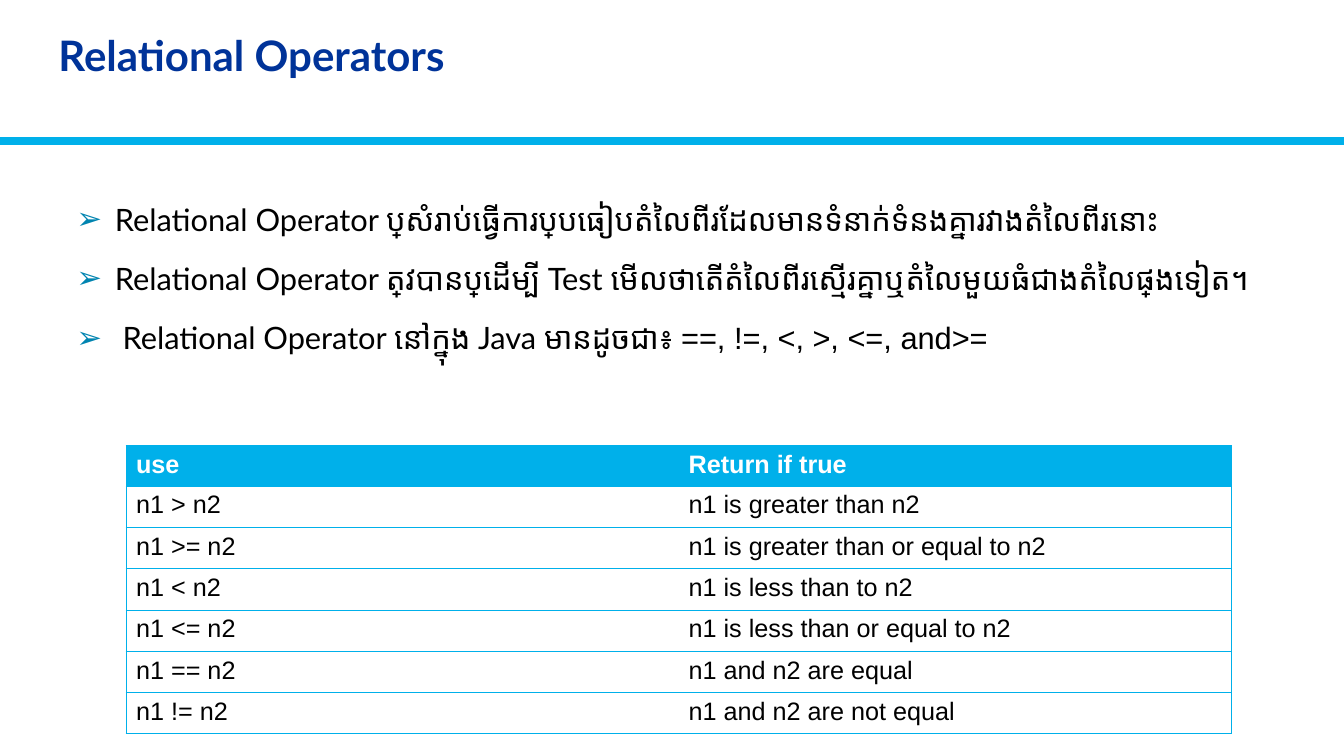
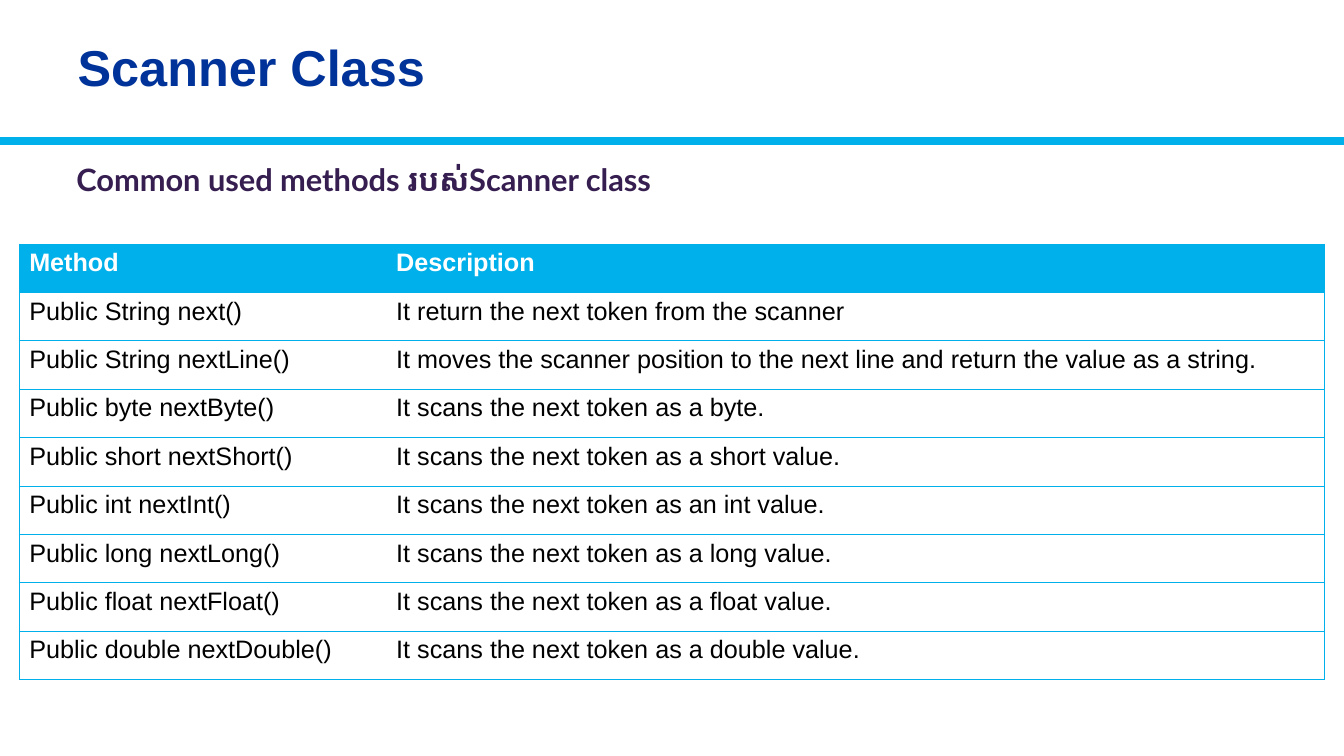
from lxml.etree import SubElement
from pptx import Presentation
from pptx.dml.color import RGBColor
from pptx.enum.shapes import MSO_CONNECTOR as Connector
from pptx.enum.text import MSO_ANCHOR as Anchor, MSO_AUTO_SIZE as AutoSize, PP_ALIGN as Align
from pptx.oxml.ns import qn
from pptx.util import Inches, Pt

COLORS = {
    "accent": "00B0EA",
    "title": "003399",
    "bullet": "0084B0",
    "heading": "361E51",
    "text": "000000",
    "white": "FFFFFF",
}


class Lesson:
    """Holds the lesson style and the slide being built."""

    width, height, band_top = 13.33, 7.5, 1.4

    def __init__(self):
        self.deck = Presentation()
        self.deck.slide_width = Inches(self.width)
        self.deck.slide_height = Inches(self.height)
        self.page = None

    def color(self, name):
        return RGBColor.from_string(COLORS[name])

    def add_page(self, title, area, font, size):
        self.page = self.deck.slides.add_slide(self.deck.slide_layouts[5])
        self.add_band()
        box = self.page.shapes.title
        box.left, box.top, box.width, box.height = map(Inches, area)
        frame = box.text_frame
        frame.auto_size = AutoSize.NONE
        frame.vertical_anchor = Anchor.MIDDLE
        para = frame.paragraphs[0]
        para.alignment = Align.LEFT
        para.line_spacing = 0.9
        self.add_span(para, title, size, "title", font, True)

    def add_band(self):
        top = Inches(self.band_top)
        band = self.page.shapes.add_connector(
            Connector.STRAIGHT, 0, top, Inches(self.width), top)
        band.line.color.rgb = self.color("accent")
        band.line.width = Pt(6)
        SubElement(band._element.spPr, qn("a:effectLst"))

    def add_span(self, para, text, size, color, font, bold=False):
        span = para.add_run()
        span.text = text
        span.font.name = font
        span.font.size = Pt(size)
        span.font.bold = bold
        span.font.color.rgb = self.color(color)

    def add_text(self, area, lines, color="text", bold=False, space=16, bullet=None):
        frame = self.page.shapes.add_textbox(*map(Inches, area)).text_frame
        frame.word_wrap = True
        for index, spans in enumerate(lines):
            para = frame.add_paragraph() if index else frame.paragraphs[0]
            para.space_before = Pt(space)
            if bullet:
                self.add_bullet(para, bullet)
            for text, font in spans:
                self.add_span(para, text, 22, color, font, bold)

    def add_bullet(self, para, mark):
        props = para._p.get_or_add_pPr()
        props.set("marL", str(Inches(0.38)))
        props.set("indent", str(-Inches(0.38)))
        tint = SubElement(props, qn("a:buClr"))
        SubElement(tint, qn("a:srgbClr"), val=COLORS["bullet"])
        SubElement(props, qn("a:buFont"), typeface="Arial")
        SubElement(props, qn("a:buChar"), char=mark)

    def add_table(self, left, top, widths, heights, rows):
        table = self.page.shapes.add_table(
            len(rows), len(widths), Inches(left), Inches(top),
            Inches(sum(widths)), Inches(sum(heights))).table
        for column, width in zip(table.columns, widths):
            column.width = Inches(width)
        for row, height in zip(table.rows, heights):
            row.height = Inches(height)
        for row_index, texts in enumerate(rows):
            header = row_index == 0
            for index, text in enumerate(texts):
                cell = table.cell(row_index, index)
                self.add_borders(cell, index == 0, index == len(widths) - 1)
                cell.fill.solid()
                cell.fill.fore_color.rgb = self.color("accent" if header else "white")
                self.add_span(cell.text_frame.paragraphs[0], text, 18,
                              "white" if header else "text", "Arial", header)

    def add_borders(self, cell, first, last):
        props = cell._tc.get_or_add_tcPr()
        for tag, shown in (("lnL", first), ("lnR", last), ("lnT", True), ("lnB", True)):
            edge = SubElement(props, qn(f"a:{tag}"), w=str(Pt(0.5)))
            if shown:
                fill = SubElement(edge, qn("a:solidFill"))
                SubElement(fill, qn("a:srgbClr"), val=COLORS["accent"])
            else:
                SubElement(edge, qn("a:noFill"))


def add_relational_operators(lesson):
    """Build the slide on relational operators."""
    lesson.add_page("Relational Operators", (0.48, 0.16, 9.02, 0.83), "Lato", 30)
    lesson.add_text((0.66, 1.94, 12.05, 2.48), [
        [("Relational Operator ប្រើសំរាប់ធ្វើការប្រៀបធៀបតំលៃពីរដែលមានទំនាក់ទំនងគ្នារវាងតំលៃពីរនោះ", "Lato")],
        [("Relational Operator ត្រូវបានប្រើដើម្បី Test មើលថាតើតំលៃពីរស្មើរគ្នាឬតំលៃមួយធំជាងតំលៃផ្សេងទៀត។", "Lato")],
        [(" Relational Operator នៅក្នុង Java មានដូចជា៖ ", "Lato"),
         ("==, !=, <, >, <=, and>=", "Arial")],
    ], bullet="➢")
    rows = [
        ("use", "Return if true"),
        ("n1 > n2", "n1 is greater than n2"),
        ("n1 >= n2", "n1 is greater than or equal to n2"),
        ("n1 < n2", "n1 is less than to n2"),
        ("n1 <= n2", "n1 is less than or equal to n2"),
        ("n1 == n2", "n1 and n2 are equal"),
        ("n1 != n2", "n1 and n2 are not equal"),
    ]
    lesson.add_table(1.25, 4.42, (5.48, 5.48), [0.38] + [0.41] * 6, rows)


def add_scanner_class(lesson):
    """Build the slide on the Scanner class."""
    lesson.add_page("Scanner Class", (0.67, 0.14, 12.02, 1.11), "Arial", 36)
    lesson.add_text((0.66, 1.54, 12.05, 0.68),
                    [[("Common used methods របស់Scanner class", "Lato")]],
                    color="heading", bold=True, space=22)
    rows = [
        ("Method", "Description"),
        ("Public String next()", "It return the next token from the scanner"),
        ("Public String nextLine()",
         "It moves the scanner position to the next line and return the value as a string."),
        ("Public byte nextByte()", "It scans the next token as a byte."),
    ]
    for article, kind in (("a", "short"), ("an", "int"), ("a", "long"),
                          ("a", "float"), ("a", "double")):
        rows.append((f"Public {kind} next{kind.title()}()",
                     f"It scans the next token as {article} {kind} value."))
    lesson.add_table(0.19, 2.42, (3.64, 9.3), [0.48] * len(rows), rows)


def main():
    """Build and save the deck."""
    lesson = Lesson()
    add_relational_operators(lesson)
    add_scanner_class(lesson)
    lesson.deck.save("out.pptx")


if __name__ == "__main__":
    main()
